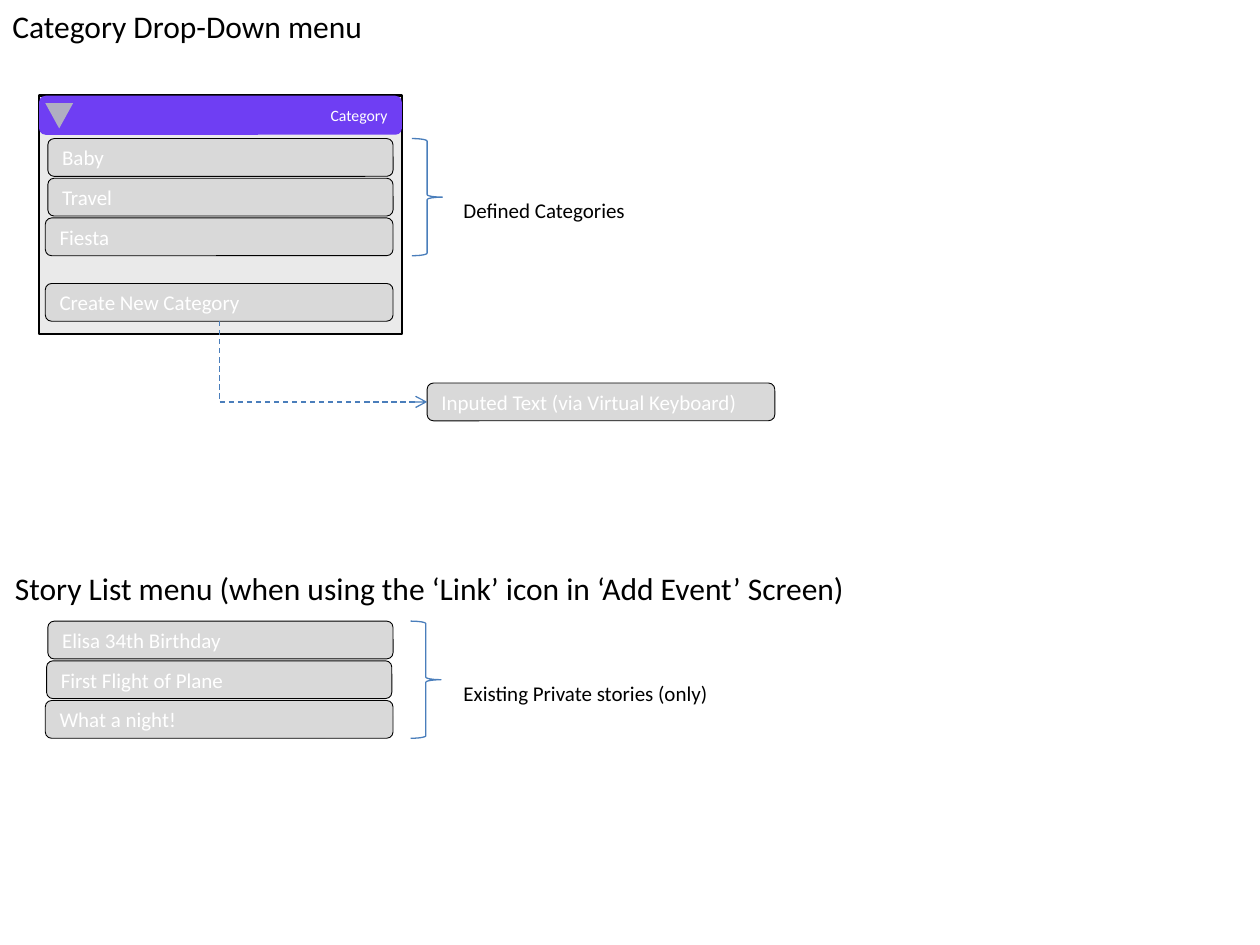
"""Builds a slide with the category drop-down and story list menus."""
from typing import NamedTuple, Optional

from lxml import etree
from pptx import Presentation
from pptx.dml.color import RGBColor
from pptx.enum.dml import MSO_LINE
from pptx.enum.shapes import MSO_CONNECTOR, MSO_SHAPE
from pptx.enum.text import MSO_ANCHOR, MSO_AUTO_SIZE, PP_ALIGN
from pptx.oxml.ns import qn
from pptx.util import Inches, Pt

RECT, ROUND = MSO_SHAPE.RECTANGLE, MSO_SHAPE.ROUNDED_RECTANGLE
TRIANGLE, BRACE = MSO_SHAPE.ISOSCELES_TRIANGLE, MSO_SHAPE.RIGHT_BRACE
ELBOW, DASH = MSO_CONNECTOR.ELBOW, MSO_LINE.DASH
LEFT, RIGHT, MIDDLE = PP_ALIGN.LEFT, PP_ALIGN.RIGHT, MSO_ANCHOR.MIDDLE
GROW = MSO_AUTO_SIZE.SHAPE_TO_FIT_TEXT
BLACK, WHITE, BLUE = "000000", "FFFFFF", "4A7EBB"
ROW_STEP, ROW_HEIGHT, LIST_HEIGHT = 0.63 / 2, 0.3, 0.93


class Box(NamedTuple):
    """A place on the slide in inches."""
    x: float
    y: float
    w: float
    h: float


class Menu(NamedTuple):
    """A list of entries with a brace and its label."""
    top: float
    rows: tuple[tuple[float, str], ...]
    brace_x: float
    label: str
    label_w: float


MENUS = (
    Menu(1.1, ((0.38, "Baby"), (0.38, "Travel"), (0.36, "Fiesta")),
         3.27, "Defined Categories", 1.75),
    Menu(4.93, ((0.38, "Elisa 34th Birthday"), (0.37, "First Flight of Plane"),
                (0.36, "What a night!")),
         3.26, "Existing Private stories (only)", 2.21),
)


def color(value: str) -> RGBColor:
    """Turn a hex string into a colour."""
    return RGBColor.from_string(value)


def write(tf, text: str, size: float, ink: str, align=LEFT) -> None:
    """Write one run into a text frame."""
    p = tf.paragraphs[0]
    p.alignment = align
    r = p.add_run()
    r.text = text
    r.font.name, r.font.size = "Calibri", Pt(size)
    r.font.color.rgb = color(ink)


def add_box(slide, kind, box: Box, fill: Optional[str] = None,
            line: Optional[str] = None, width: float = 0.5):
    """Add a preset shape without shadow."""
    s = slide.shapes.add_shape(kind, *map(Inches, box))
    s.shadow.inherit = False
    if fill:
        s.fill.solid()
        s.fill.fore_color.rgb = color(fill)
    else:
        s.fill.background()
    if line:
        s.line.color.rgb = color(line)
        s.line.width = Pt(width)
    else:
        s.line.fill.background()
    return s


def add_entry(slide, x: float, y: float, w: float, text: str):
    """Add a grey menu entry."""
    s = add_box(slide, ROUND, Box(x, y, w, ROW_HEIGHT), "D9D9D9", BLACK)
    s.text_frame.vertical_anchor = MIDDLE
    write(s.text_frame, text, 12, WHITE)
    return s


def add_text(slide, box: Box, text: str, size: float, wrap: bool) -> None:
    """Add a black text box."""
    tf = slide.shapes.add_textbox(*map(Inches, box)).text_frame
    tf.word_wrap, tf.auto_size = wrap, GROW
    write(tf, text, size, BLACK)


def add_menu(slide, menu: Menu) -> None:
    """Add the entries of a menu, its brace and its label."""
    add_box(slide, BRACE, Box(menu.brace_x, menu.top, 0.24, LIST_HEIGHT),
            line=BLUE, width=0.75)
    add_text(slide, Box(3.58, menu.top + 0.42, menu.label_w, 0.3), menu.label, 12, True)
    for i, (x, text) in enumerate(menu.rows):
        add_entry(slide, x, menu.top + i * ROW_STEP, 2.76 if x == 0.36 else 2.74, text)


def add_bent_arrow(slide, source, target) -> None:
    """Join the bottom of one entry to the left side of another."""
    c = slide.shapes.add_connector(ELBOW, 0, 0, 0, 0)
    c.begin_connect(source, 2)
    c.end_connect(target, 1)
    x1, y1, x2, y2 = c.begin_x, c.begin_y, c.end_x, c.end_y
    c.width, c.height = y2 - y1, x2 - x1
    c.left, c.top = (x1 + x2 - c.width) // 2, (y1 + y2 - c.height) // 2
    pr = c._element.spPr
    pr.find(qn("a:prstGeom")).set("prst", "bentConnector2")
    xfrm = pr.find(qn("a:xfrm"))
    xfrm.set("rot", "16200000")
    xfrm.set("flipH", "1")
    c.line.color.rgb = color(BLUE)
    c.line.width, c.line.dash_style = Pt(0.75), DASH
    etree.SubElement(pr.find(qn("a:ln")), qn("a:tailEnd")).set("type", "arrow")
    etree.SubElement(pr, qn("a:effectLst"))


def main() -> None:
    """Build and save the slide."""
    prs = Presentation()
    prs.slide_width, prs.slide_height = Inches(10), Inches(7.5)
    slide = prs.slides.add_slide(prs.slide_layouts[6])

    add_box(slide, RECT, Box(0.31, 0.76, 2.88, 1.89), "EAEAEA", BLACK, 1.5)
    add_text(slide, Box(0, 0.01, 2.99, 0.4), "Category Drop-Down menu", 18, False)
    header = add_box(slide, ROUND, Box(0.31, 0.76, 2.88, 0.31), "6F3EF3")
    header.text_frame.vertical_anchor = MIDDLE
    write(header.text_frame, "Category", 9, WHITE, RIGHT)
    triangle = add_box(slide, TRIANGLE, Box(0.36, 0.82, 0.22, 0.2), "B0AFC1")
    triangle._element.spPr.find(qn("a:xfrm")).set("flipV", "1")

    add_text(slide, Box(0.02, 4.47, 6.81, 0.4),
             "Story List menu (when using the ‘Link’ icon in ‘Add Event’ Screen)",
             18, False)
    for menu in MENUS:
        add_menu(slide, menu)

    create = add_entry(slide, 0.36, 2.25, 2.76, "Create New Category")
    typed = add_entry(slide, 3.39, 3.04, 2.76, "Inputed Text (via Virtual Keyboard)")
    add_bent_arrow(slide, create, typed)
    prs.save("out.pptx")


if __name__ == "__main__":
    main()
